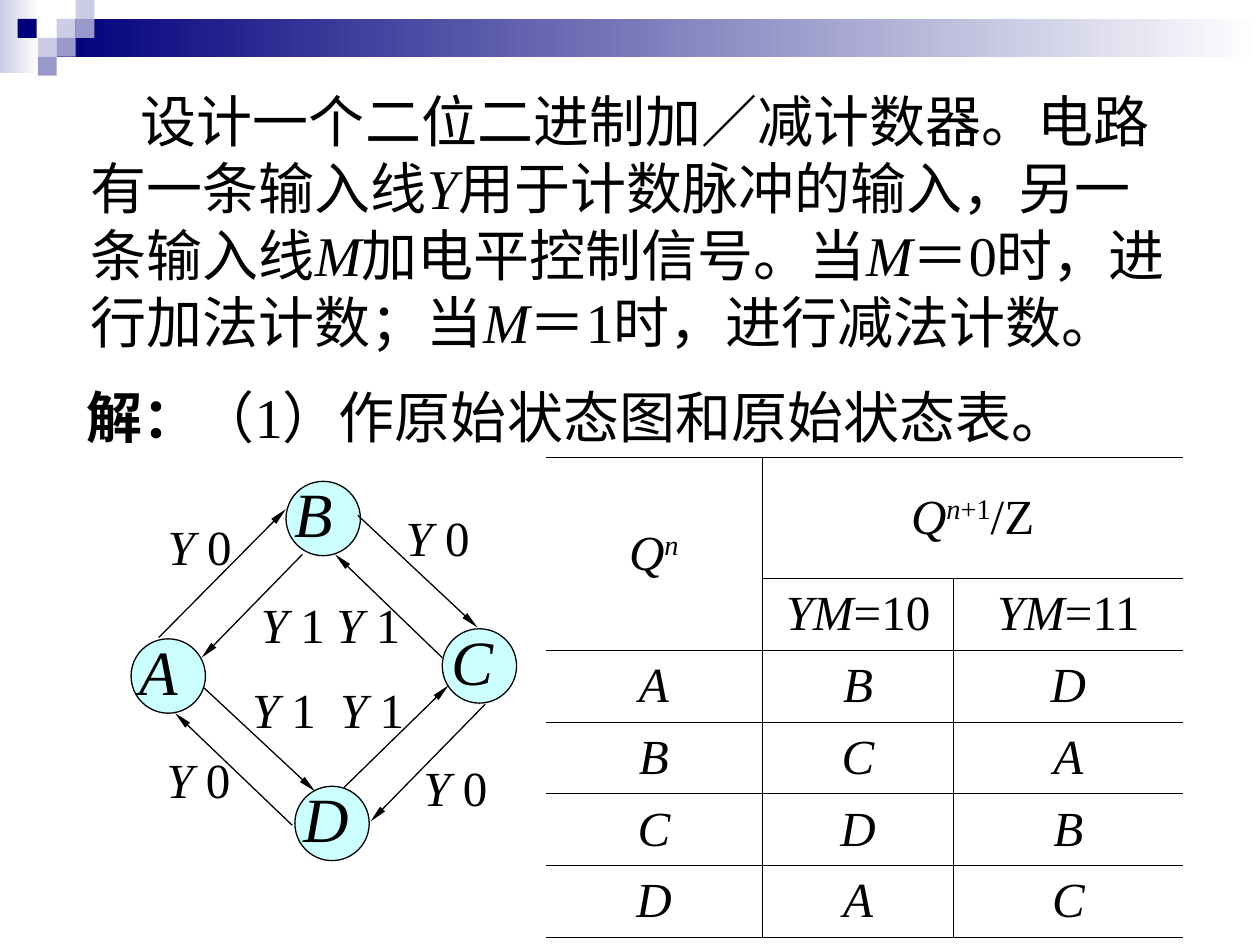
from typing import NamedTuple

import pptx
import pptx.dml.color
import pptx.enum.shapes
import pptx.enum.text
import pptx.oxml
import pptx.oxml.ns
import pptx.util
from pptx.util import Inches, Pt

RGBColor = pptx.dml.color.RGBColor
Align = pptx.enum.text.PP_ALIGN
Anchor = pptx.enum.text.MSO_ANCHOR
AutoSize = pptx.enum.text.MSO_AUTO_SIZE
ShapeType = pptx.enum.shapes.MSO_SHAPE

BLACK = RGBColor(0x00, 0x00, 0x00)
WHITE = RGBColor(0xFF, 0xFF, 0xFF)
NAVY = RGBColor(0x00, 0x00, 0x7D)
LAVENDER = RGBColor(0x99, 0x99, 0xCC)
PALE_LAVENDER = RGBColor(0xCC, 0xCC, 0xE6)
PALE_CYAN = RGBColor(0xCC, 0xFF, 0xFF)
FONT = "Times New Roman"
BORDER_WIDTH = Pt(0.45)
NODE_SIZE = 0.59
TILE = 0.15


class Box(NamedTuple):
    left: float
    top: float
    width: float
    height: float


class TextRun(NamedTuple):
    text: str
    italic: bool = False
    bold: bool = False
    superscript: bool = False


class State(NamedTuple):
    name: str
    left: float
    top: float


class Transition(NamedTuple):
    start: tuple[float, float]
    end: tuple[float, float]
    mode: str
    label: tuple[float, float]


BANDS = [
    (Box(0, 0, 0.31, 0.58), PALE_LAVENDER),
    (Box(0.45, 0.15, 9.55, 0.3), NAVY),
]
TILES = [
    (0.45, 0.15, PALE_LAVENDER),
    (0.6, 0, PALE_LAVENDER),
    (0.6, 0.15, LAVENDER),
    (0.3, 0.3, PALE_LAVENDER),
    (0.14, 0.15, NAVY),
    (0.45, 0.3, LAVENDER),
    (0.3, 0.45, LAVENDER),
]
PROBLEM = [
    TextRun("设计一个二位二进制加／减计数器。电路有一条输入线"),
    TextRun("Y", italic=True),
    TextRun("用于计数脉冲的输入，另一条输入线"),
    TextRun("M", italic=True),
    TextRun("加电平控制信号。当"),
    TextRun("M", italic=True),
    TextRun("＝0时，进行加法计数；当"),
    TextRun("M", italic=True),
    TextRun("＝1时，进行减法计数。"),
]
SOLUTION = [TextRun("解：", bold=True), TextRun("（1）作原始状态图和原始状态表。")]
STATES = [
    State("B", 2.27, 3.82),
    State("A", 1.04, 5.07),
    State("C", 3.51, 4.99),
    State("D", 2.34, 6.24),
]
TRANSITIONS = [
    Transition((1.26, 5.06), (2.27, 4.04), "0", (1.21, 3.98)),
    Transition((2.84, 4.09), (3.79, 4.98), "0", (3.1, 3.91)),
    Transition((3.85, 5.59), (2.94, 6.52), "0", (3.24, 5.89)),
    Transition((2.32, 6.55), (1.39, 5.66), "0", (1.2, 5.83)),
    Transition((2.4, 4.4), (1.6, 5.22), "1", (1.95, 4.6)),
    Transition((1.62, 5.46), (2.5, 6.28), "1", (1.88, 5.27)),
    Transition((2.73, 6.25), (3.56, 5.44), "1", (2.58, 5.27)),
    Transition((3.51, 5.22), (2.66, 4.4), "1", (2.55, 4.6)),
]
COLUMN_WIDTHS = [1.72, 1.52, 1.82]
ROW_HEIGHTS = [0.96] + [0.57] * 5
CURRENT_STATE = [TextRun("Q", italic=True), TextRun("n", italic=True, superscript=True)]
NEXT_STATE = CURRENT_STATE + [TextRun("+1", superscript=True), TextRun("/Z")]
INPUTS = [[TextRun("YM", italic=True), TextRun(value)] for value in ("=10", "=11")]
STATE_ROWS = ["ABD", "BCA", "CDB", "DAC"]
TABLE_ROWS = [[CURRENT_STATE, NEXT_STATE, []], [[], *INPUTS]] + [
    [[TextRun(name, italic=True)] for name in row] for row in STATE_ROWS
]


def inches(values) -> list[pptx.util.Length]:
    return [Inches(value) for value in values]


def write_runs(paragraph, runs: list[TextRun], size: float) -> None:
    for item in runs:
        run = paragraph.add_run()
        run.text = item.text
        run.font.name = FONT
        run.font.size = Pt(size)
        run.font.color.rgb = BLACK
        run.font.italic = item.italic
        run.font.bold = item.bold
        if item.superscript:
            run._r.get_or_add_rPr().set("baseline", "30000")


def add_text(slide, box: Box, runs: list[TextRun], size: float):
    shape = slide.shapes.add_textbox(*inches(box))
    shape.text_frame.word_wrap = True
    write_runs(shape.text_frame.paragraphs[0], runs, size)
    return shape.text_frame


def add_statement(slide, box: Box, runs: list[TextRun]):
    """Add large text that keeps punctuation inside its margins."""
    frame = add_text(slide, box, runs, 32)
    frame.vertical_anchor = Anchor.MIDDLE
    frame.auto_size = AutoSize.SHAPE_TO_FIT_TEXT
    frame.paragraphs[0]._p.get_or_add_pPr().set("hangingPunct", "0")
    return frame


def add_label(slide, box: Box, runs: list[TextRun], size: float) -> None:
    frame = add_text(slide, box, runs, size)
    frame.margin_left = frame.margin_right = Inches(0.12)
    frame.margin_top = frame.margin_bottom = Inches(0.12)
    frame.paragraphs[0].alignment = Align.JUSTIFY


def add_plain_shape(slide, kind, box: Box):
    shape = slide.shapes.add_shape(kind, *inches(box))
    shape.shadow.inherit = False
    shape.line.fill.background()
    return shape


def add_banner(slide) -> None:
    for box, color in BANDS:
        fill = add_plain_shape(slide, ShapeType.RECTANGLE, box).fill
        fill.gradient()
        fill.gradient_angle = 0
        for stop, stop_color in zip(fill.gradient_stops, (color, WHITE)):
            stop.color.rgb = stop_color
    for left, top, color in TILES:
        tile = add_plain_shape(slide, ShapeType.RECTANGLE, Box(left, top, TILE, TILE))
        tile.fill.solid()
        tile.fill.fore_color.rgb = color


def add_state(slide, state: State) -> None:
    circle = add_plain_shape(
        slide, ShapeType.OVAL, Box(state.left, state.top, NODE_SIZE, NODE_SIZE)
    )
    circle.fill.solid()
    circle.fill.fore_color.rgb = PALE_CYAN
    circle.line.color.rgb = BLACK
    circle.line.width = Pt(0.75)
    label_box = Box(state.left - 0.05, state.top - 0.17, 0.85, 0.93)
    add_label(slide, label_box, [TextRun(state.name, italic=True)], 36)


def add_transition(slide, transition: Transition) -> None:
    arrow = slide.shapes.add_connector(
        pptx.enum.shapes.MSO_CONNECTOR.STRAIGHT,
        *inches(transition.start + transition.end),
    )
    arrow.line.color.rgb = BLACK
    arrow.line.width = Pt(0.75)
    namespace = pptx.oxml.ns.nsdecls("a")
    head = pptx.oxml.parse_xml(f'<a:tailEnd {namespace} type="triangle" w="sm" len="lg"/>')
    arrow.line._get_or_add_ln().append(head)
    arrow._element.spPr.append(pptx.oxml.parse_xml(f"<a:effectLst {namespace}/>"))
    runs = [TextRun("Y ", italic=True), TextRun(transition.mode)]
    add_label(slide, Box(*transition.label, 0.89, 0.85), runs, 28)


def set_borders(cell, sides: dict[str, bool]) -> None:
    for side, visible in sides.items():
        paint = f'<a:solidFill><a:srgbClr val="{BLACK}"/></a:solidFill>' if visible else "<a:noFill/>"
        border = f'<a:ln{side} {pptx.oxml.ns.nsdecls("a")} w="{BORDER_WIDTH}">{paint}</a:ln{side}>'
        cell._tc.get_or_add_tcPr().append(pptx.oxml.parse_xml(border))


def add_state_table(slide) -> None:
    box = Box(4.33, 3.63, sum(COLUMN_WIDTHS), sum(ROW_HEIGHTS))
    table = slide.shapes.add_table(len(ROW_HEIGHTS), len(COLUMN_WIDTHS), *inches(box)).table
    table.first_row = table.horz_banding = False
    for column, width in zip(table.columns, COLUMN_WIDTHS):
        column.width = Inches(width)
    for row, height in zip(table.rows, ROW_HEIGHTS):
        row.height = Inches(height)
    table.cell(0, 0).merge(table.cell(1, 0))
    table.cell(0, 1).merge(table.cell(0, 2))
    for row_index, row in enumerate(TABLE_ROWS):
        for column_index, runs in enumerate(row):
            cell = table.cell(row_index, column_index)
            has_right = column_index + cell.span_width < len(COLUMN_WIDTHS)
            set_borders(cell, {"L": column_index > 0, "R": has_right, "T": True, "B": True})
            cell.fill.background()
            cell.vertical_anchor = Anchor.MIDDLE
            paragraph = cell.text_frame.paragraphs[0]
            paragraph.alignment = Align.CENTER
            write_runs(paragraph, runs, 28)


def main() -> None:
    presentation = pptx.Presentation()
    presentation.slide_width, presentation.slide_height = Inches(10), Inches(7.5)
    slide = presentation.slides.add_slide(presentation.slide_layouts[6])
    add_banner(slide)
    problem = add_statement(slide, Box(0.62, 0.63, 8.89, 2.24), PROBLEM)
    problem.paragraphs[0]._p.get_or_add_pPr().set("indent", str(Inches(0.4)))
    add_statement(slide, Box(0.59, 2.98, 8.2, 0.64), SOLUTION).word_wrap = False
    for state in STATES:
        add_state(slide, state)
    for transition in TRANSITIONS:
        add_transition(slide, transition)
    add_state_table(slide)
    presentation.save("out.pptx")


if __name__ == "__main__":
    main()
